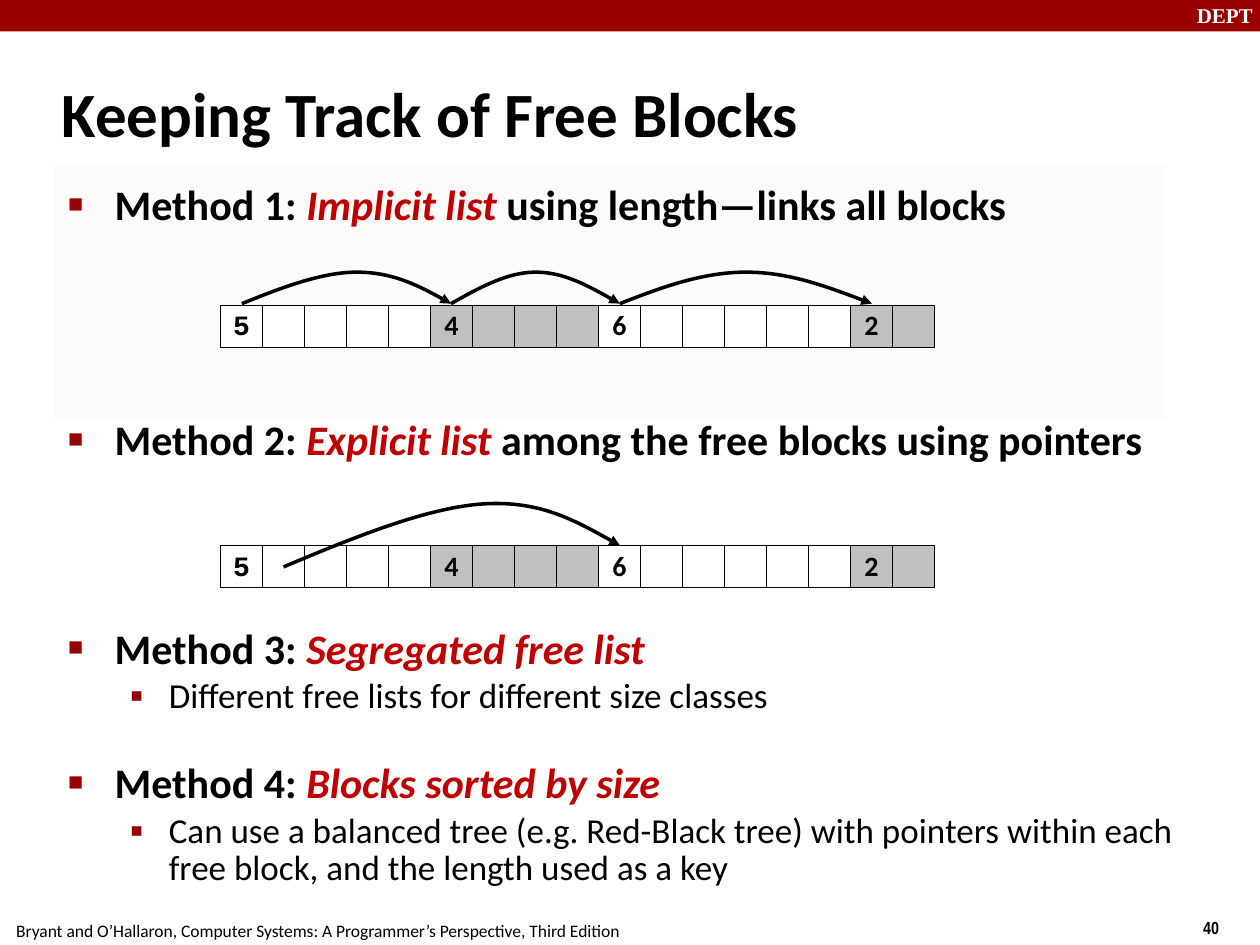
from lxml import etree
from pptx import Presentation
from pptx.dml.color import RGBColor
from pptx.enum import shapes, text
from pptx.oxml.ns import qn
from pptx.util import Inches, Pt

presentation = Presentation()
presentation.slide_width = Inches(10)
presentation.slide_height = Inches(7.5)
slide = presentation.slides.add_slide(presentation.slide_layouts[1])
title, body = slide.shapes.title, slide.placeholders[1]


def add_run(paragraph, words, size, color="000000", font="Calibri", bold=True, italic=False):
    run = paragraph.add_run()
    run.text = words
    run.font.name = font
    run.font.size = Pt(size)
    run.font.bold = bold
    run.font.italic = italic
    run.font.color.rgb = RGBColor.from_string(color)


def add_box(left, top, width, height, fill):
    shape = slide.shapes.add_shape(
        shapes.MSO_SHAPE.RECTANGLE, Inches(left), Inches(top), Inches(width), Inches(height))
    shape.shadow.inherit = False
    shape.fill.solid()
    shape.fill.fore_color.rgb = RGBColor.from_string(fill)
    shape.line.fill.background()
    return shape


add_box(0, 0, 10, 0.25, "990000")
labels = [
    ("DEPT", 9.4, -0.03, 0.67, 0.3, 12, "FFFFFF", "Times New Roman", True),
    ("40", 9.45, 7.23, 0.75, 0.29, 10, "000000", "Arial Narrow", True),
    ("Bryant and O’Hallaron, Computer Systems: A Programmer’s Perspective, Third Edition",
     0.03, 7.25, 4.99, 0.27, 10, "000000", "Calibri", False),
]
for words, left, top, width, height, size, color, font, bold in labels:
    label = slide.shapes.add_textbox(Inches(left), Inches(top), Inches(width), Inches(height))
    label.text_frame.word_wrap = False
    add_run(label.text_frame.paragraphs[0], words, size, color, font, bold)
add_box(0.43, 1.31, 8.82, 2.02, "FCFBF9")

tree = title.element.getparent()
for placeholder, left, top, width, height in [
        (title, 0.39, 0.48, 8.3, 0.83), (body, 0.43, 1.37, 9.07, 5.88)]:
    tree.append(placeholder.element)
    placeholder.left, placeholder.top = Inches(left), Inches(top)
    placeholder.width, placeholder.height = Inches(width), Inches(height)
    placeholder.text_frame.word_wrap = True
    placeholder.text_frame.auto_size = text.MSO_AUTO_SIZE.NONE

title.text_frame.vertical_anchor = text.MSO_ANCHOR.MIDDLE
heading = title.text_frame.paragraphs[0]
heading.alignment = text.PP_ALIGN.LEFT
add_run(heading, "Keeping Track of Free Blocks", 36)

bullet_styles = [(0.38, -0.37, "■", 60), (0.81, -0.31, "▪", 110)]
items = [
    (0, 4.8, 1, ["Method 1: ", "Implicit list ", "using length—links all blocks"]),
    (0, 105.5, 1, ["Method 2: ", "Explicit list ", "among the free blocks using pointers"]),
    (0, 95, 0.83, ["Method 3: ", "Segregated free list"]),
    (1, 4, 0.88, ["Different free lists for different size classes"]),
    (0, 28, 0.83, ["Method 4: ", "Blocks sorted by size"]),
    (1, 4, 0.88, ["Can use a balanced tree (e.g. Red-Black tree) with pointers within each "
                  "free block, and the length used as a key"]),
]
for number, (level, space, spacing, parts) in enumerate(items):
    frame = body.text_frame
    paragraph = frame.add_paragraph() if number else frame.paragraphs[0]
    paragraph.level = level
    paragraph.space_before = Pt(space)
    paragraph.line_spacing = spacing
    margin, indent, character, percent = bullet_styles[level]
    properties = paragraph._p.get_or_add_pPr()
    properties.set("marL", str(Inches(margin)))
    properties.set("indent", str(Inches(indent)))
    bullet_color = etree.SubElement(properties, qn("a:buClr"))
    etree.SubElement(bullet_color, qn("a:srgbClr"), val="990000")
    etree.SubElement(properties, qn("a:buSzPct"), val=str(percent * 1000))
    etree.SubElement(properties, qn("a:buFont"), typeface="Arial")
    etree.SubElement(properties, qn("a:buChar"), char=character)
    for position, words in enumerate(parts):
        term = position == 1
        add_run(paragraph, words, 20 if level else 24, "C00000" if term else "000000",
                bold=level == 0, italic=term)

cell = 1 / 3
blocks = [(5, "FFFFFF", "Courier New"), (4, "C0C0C0", "Calibri"),
          (6, "FFFFFF", "Calibri"), (2, "C0C0C0", "Calibri")]
for row_top in (2.42, 4.33):
    column = 0
    for length, fill, font in blocks:
        for word in range(length):
            box = add_box(1.75 + column * cell, row_top, cell, cell, fill)
            box.line.color.rgb = RGBColor.from_string("000000")
            box.line.width = Pt(0.25)
            if word == 0:
                box.text_frame.word_wrap = False
                box.text_frame.vertical_anchor = text.MSO_ANCHOR.MIDDLE
                paragraph = box.text_frame.paragraphs[0]
                paragraph.alignment = text.PP_ALIGN.CENTER
                paragraph.line_spacing = 0.98
                add_run(paragraph, str(length), 16, font=font)
            column += 1

arrows = [
    [(1.92, 2.41), (2.24, 2.28), (2.56, 2.16), (2.83, 2.16), (3.11, 2.16), (3.35, 2.28), (3.58, 2.41)],
    [(3.58, 2.41), (3.81, 2.28), (4.03, 2.16), (4.25, 2.16), (4.47, 2.16), (4.69, 2.28), (4.92, 2.41)],
    [(4.92, 2.41), (5.25, 2.28), (5.58, 2.16), (5.92, 2.16), (6.25, 2.16), (6.58, 2.28), (6.92, 2.41)],
    [(2.25, 4.5), (2.82, 4.26), (3.39, 4.03), (3.83, 4), (4.28, 3.97), (4.6, 4.15), (4.92, 4.33)],
]
for points in arrows:
    start, *rest = [(Inches(x), Inches(y)) for x, y in points]
    builder = slide.shapes.build_freeform(*start)
    builder.add_line_segments(rest, close=False)
    arrow = builder.convert_to_shape()
    arrow.shadow.inherit = False
    arrow.fill.background()
    arrow.line.color.rgb = RGBColor.from_string("000000")
    arrow.line.width = Pt(2)
    outline = next(arrow.element.iter(qn("a:path")))
    segments = outline.findall(qn("a:lnTo"))
    for first in (0, 3):
        curve = etree.SubElement(outline, qn("a:cubicBezTo"))
        for segment in segments[first:first + 3]:
            curve.append(segment[0])
            outline.remove(segment)
    line = next(arrow.element.iter(qn("a:ln")))
    etree.SubElement(line, qn("a:tailEnd"), type="triangle")

presentation.save("out.pptx")
